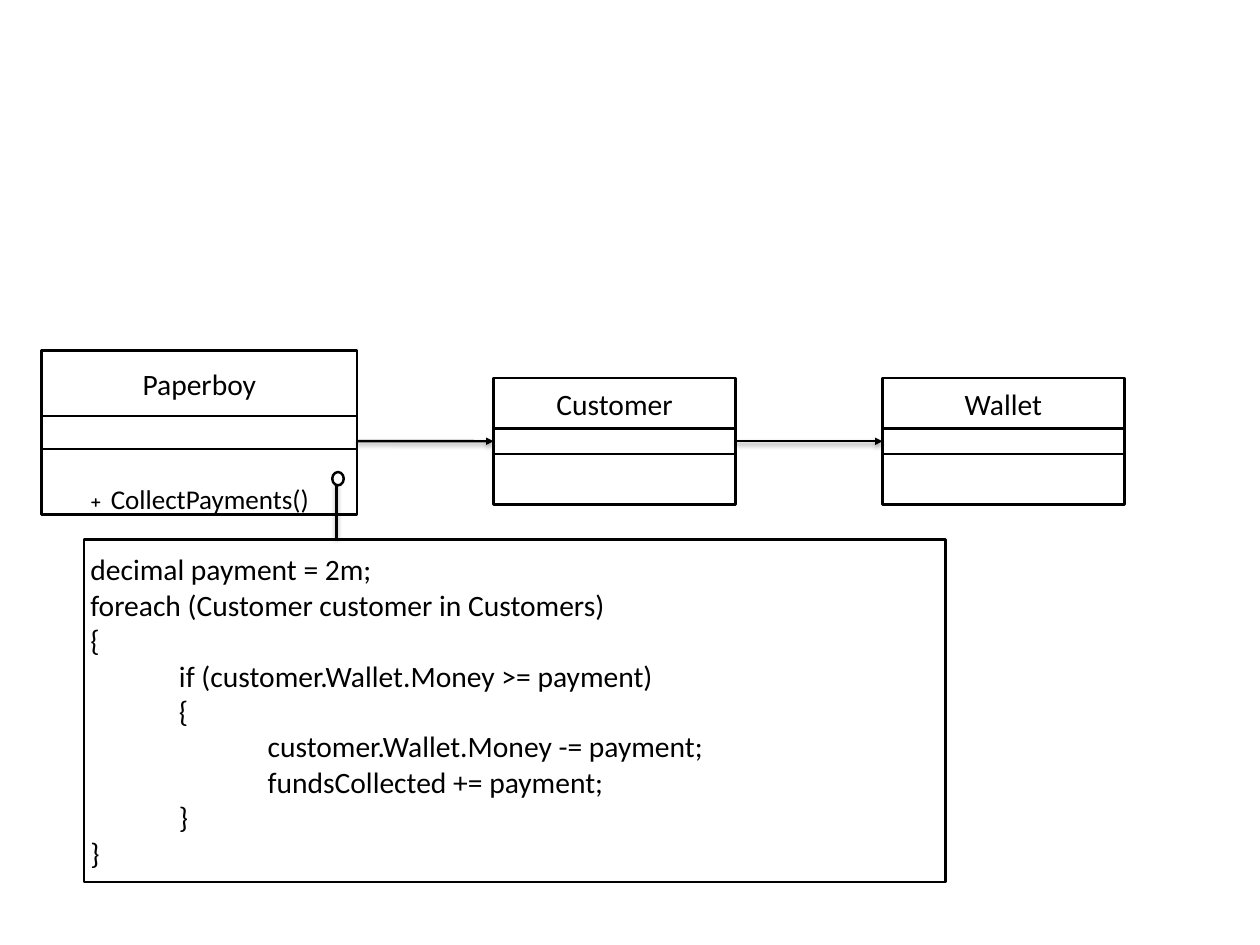
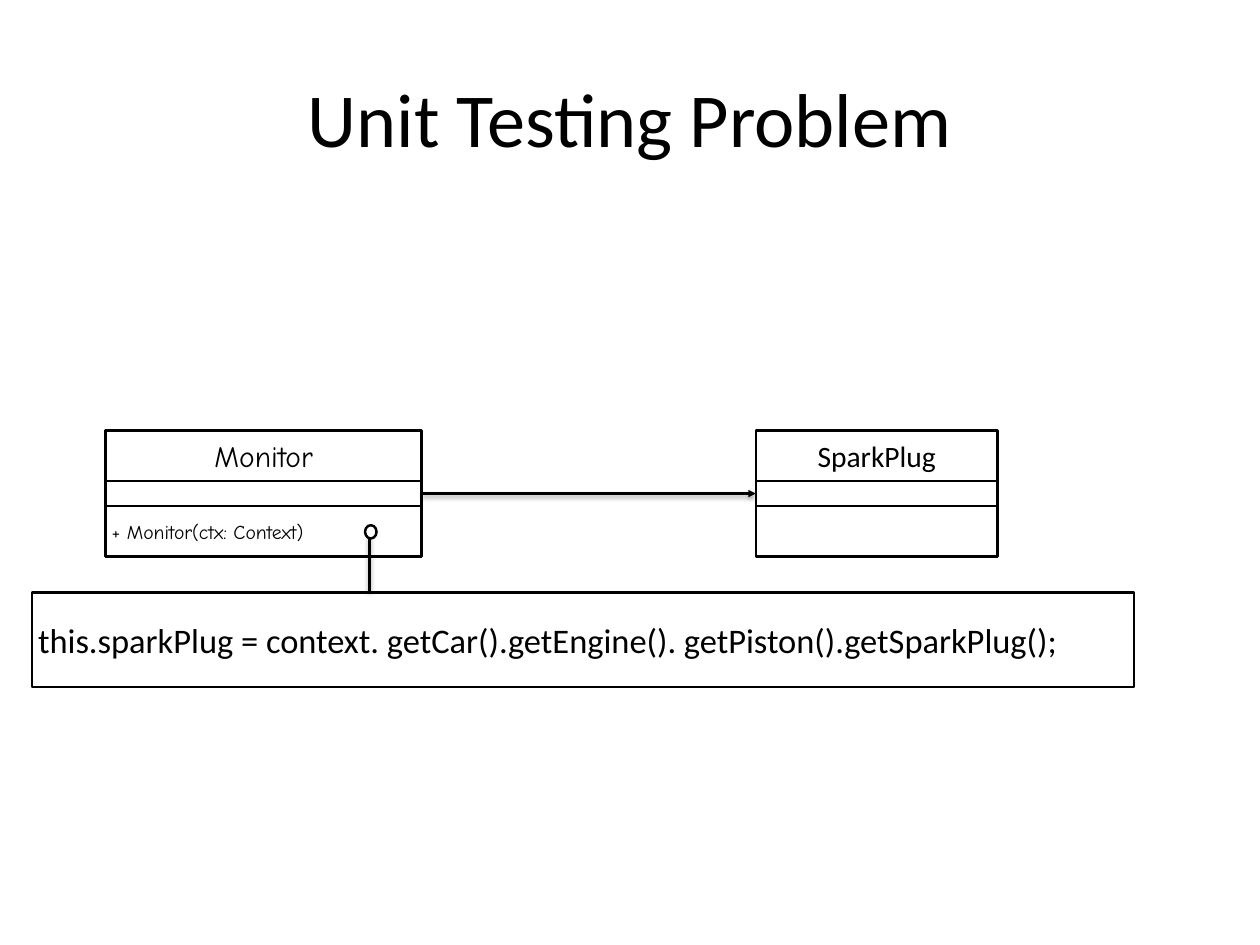
from dataclasses import dataclass

from lxml.etree import SubElement
from pptx import Presentation
from pptx.dml.color import RGBColor
from pptx.enum.shapes import MSO_CONNECTOR, MSO_SHAPE
from pptx.enum.text import MSO_ANCHOR, PP_ALIGN
from pptx.oxml import parse_xml
from pptx.oxml.ns import nsdecls, qn
from pptx.util import Inches, Pt


@dataclass(frozen=True)
class Theme:
    ink: RGBColor = RGBColor(0, 0, 0)
    paper: RGBColor = RGBColor(255, 255, 255)
    font: str = "Calibri"
    hand: str = "Comic Neue"
    title: int = 62
    name: int = 24
    outline: int = 2
    inset: float = 0.07


theme = Theme()
SHADOW = (
    f'<a:effectLst {nsdecls("a")}>'
    f'<a:outerShdw blurRad="{Pt(4)}" dist="{Pt(2)}" dir="5400000" rotWithShape="0">'
    '<a:srgbClr val="000000"><a:alpha val="38000"/></a:srgbClr>'
    "</a:outerShdw></a:effectLst>"
)


def add_box(page, place, lines=(), size=theme.name, align=PP_ALIGN.CENTER,
            anchor=MSO_ANCHOR.MIDDLE, kind=MSO_SHAPE.RECTANGLE, outlined=True):
    """Add a shape; each line is a list of (text, font) runs."""
    box = page.shapes.add_shape(kind, *[Inches(length) for length in place])
    box.shadow.inherit = False
    if outlined:
        box.fill.solid()
        box.fill.fore_color.rgb = theme.paper
        box.line.color.rgb = theme.ink
        box.line.width = Pt(theme.outline)
    else:
        box.fill.background()
        box.line.fill.background()
    frame = box.text_frame
    frame.word_wrap = True
    frame.vertical_anchor = anchor
    frame.margin_left = frame.margin_right = frame.margin_top = Inches(theme.inset)
    frame.margin_bottom = Inches(0 if anchor == MSO_ANCHOR.BOTTOM else theme.inset)
    for index, runs in enumerate(lines):
        para = frame.add_paragraph() if index else frame.paragraphs[0]
        para.alignment = align
        # Tab stops one inch apart, one for each level of code
        depth = sum(text.count("\t") for text, font in runs)
        if depth:
            stops = SubElement(para._p.get_or_add_pPr(), qn("a:tabLst"))
            for level in range(1, depth + 1):
                SubElement(stops, qn("a:tab"), pos=str(Inches(level)), algn="l")
        for text, font in runs:
            span = para.add_run()
            span.text = text
            span.font.name = font
            span.font.size = Pt(size)
            span.font.color.rgb = theme.ink
    return box


def add_line(page, start, end, arrow=False):
    """Add a straight line with a soft shadow."""
    line = page.shapes.add_connector(
        MSO_CONNECTOR.STRAIGHT, *[Inches(length) for length in (*start, *end)])
    line.line.color.rgb = theme.ink
    line.line.width = Pt(theme.outline)
    if arrow:
        SubElement(line.line._get_or_add_ln(), qn("a:tailEnd"), type="triangle")
    line._element.spPr.append(parse_xml(SHADOW))
    return line


payment_code = [
    "decimal payment = 2m;",
    "foreach (Customer customer in Customers)",
    "{",
    "\tif (customer.Wallet.Money >= payment)",
    "\t{",
    "\t\tcustomer.Wallet.Money -= payment;",
    "\t\tfundsCollected += payment;",
    "\t}",
    "}",
]
spark_code = [
    "this.sparkPlug = context. getCar().getEngine(). getPiston().getSparkPlug();",
]

# Class: name, font, left, top, width, head height, method runs
# Method style: size, alignment, anchor; note: place, code, size; ring: left, top
diagrams = [
    {
        "title": None,
        "classes": [
            ("Paperboy", theme.font, 0.47, 3.96, 3.56, 0.74,
             [("+ ", theme.hand), ("CollectPayments()", theme.font)]),
            ("Customer", theme.font, 5.57, 4.27, 2.73, 0.57, []),
            ("Wallet", theme.font, 9.96, 4.27, 2.73, 0.57, []),
        ],
        "method": (22, PP_ALIGN.CENTER, MSO_ANCHOR.BOTTOM),
        "note": ((0.95, 6.09, 9.72, 3.87), payment_code, 24),
        "ring": (3.75, 5.33),
        "level": 4.98,
    },
    {
        "title": "Unit Testing Problem",
        "classes": [
            ("Monitor", theme.hand, 1.19, 4.86, 3.57, 0.57,
             [("+ Monitor(ctx: Context)", theme.hand)]),
            ("SparkPlug", theme.font, 8.53, 4.86, 2.73, 0.57, []),
        ],
        "method": (16, PP_ALIGN.LEFT, MSO_ANCHOR.MIDDLE),
        "note": ((0.36, 6.69, 12.44, 1.07), spark_code, 28),
        "ring": (4.12, 5.93),
        "level": 5.57,
    },
]

deck = Presentation()
deck.slide_width = Inches(14.22)
deck.slide_height = Inches(10.67)

for diagram in diagrams:
    page = deck.slides.add_slide(deck.slide_layouts[6])

    # Title
    if diagram["title"]:
        add_box(page, (0.71, 0.43, 12.8, 1.78), [[(diagram["title"], theme.font)]],
                theme.title, outlined=False)

    # Classes: name, attributes (half as high) and methods
    attributes = []
    for name, font, left, top, width, head, method in diagram["classes"]:
        add_box(page, (left, top, width, head), [[(name, font)]])
        attributes.append(add_box(page, (left, top + head, width, head / 2)))
        add_box(page, (left, top + 1.5 * head, width, head),
                [method] if method else [], *diagram["method"])

    # Code note, tied to its method by a stem and a ring
    place, code, size = diagram["note"]
    add_box(page, place, [[(text, theme.font)] for text in code], size, PP_ALIGN.LEFT)
    ring_left, ring_top = diagram["ring"]
    stem = ring_left + 0.05
    add_line(page, (stem, place[1] - 0.02), (stem, ring_top + 0.11))
    add_box(page, (ring_left, ring_top, 0.13, 0.15), kind=MSO_SHAPE.OVAL)

    # Associations, joined where the level meets the middle of a side
    level = diagram["level"]
    for source, target in zip(attributes, attributes[1:]):
        start = (source.left + source.width) / Inches(1)
        arrow = add_line(page, (start, level), (target.left / Inches(1), level), True)
        if abs(source.top + source.height / 2 - Inches(level)) < Inches(0.02):
            arrow.begin_connect(source, 3)
        arrow.end_connect(target, 1)

deck.save("out.pptx")
